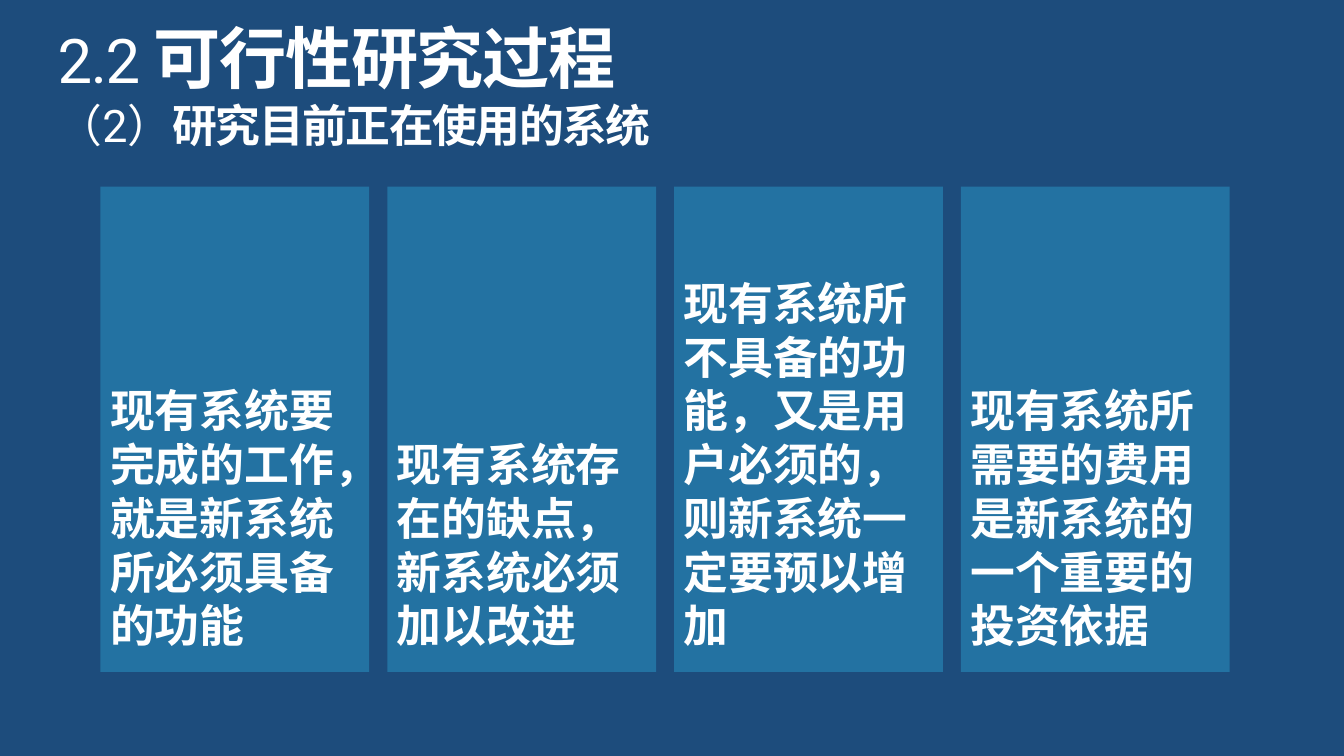
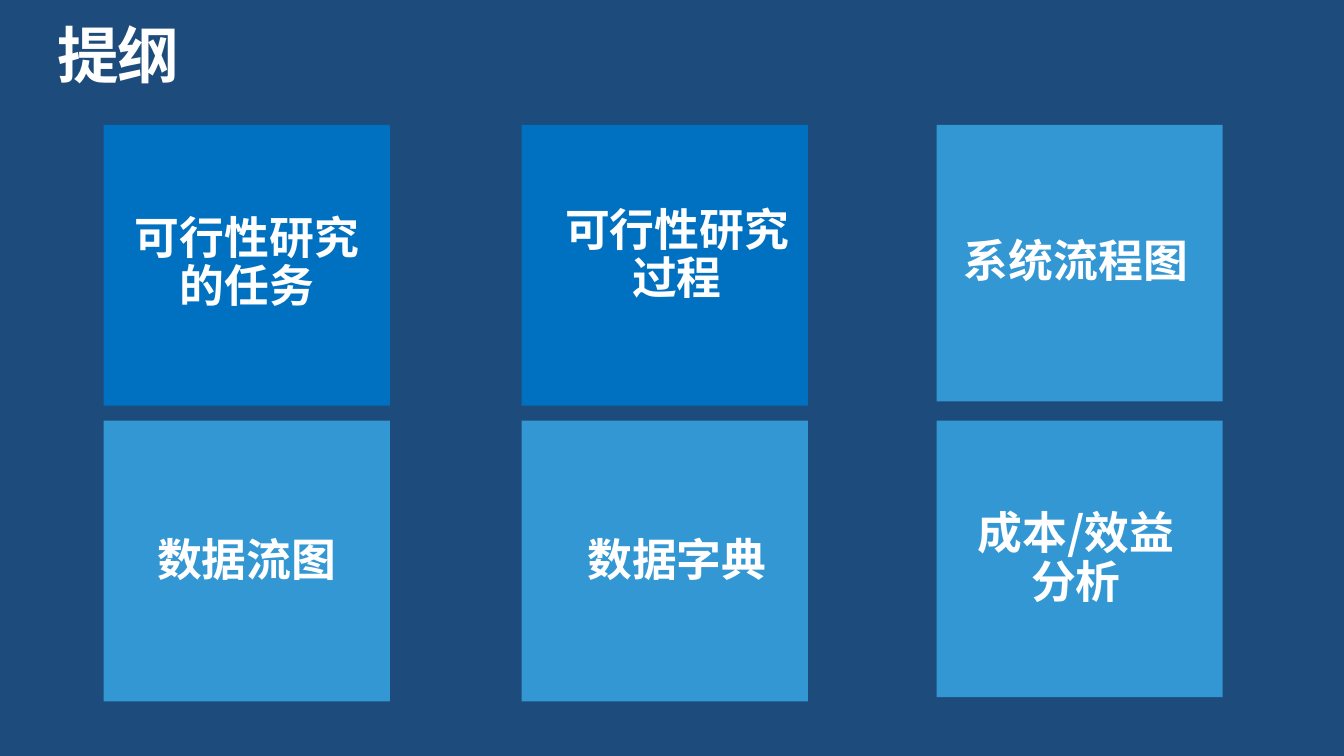
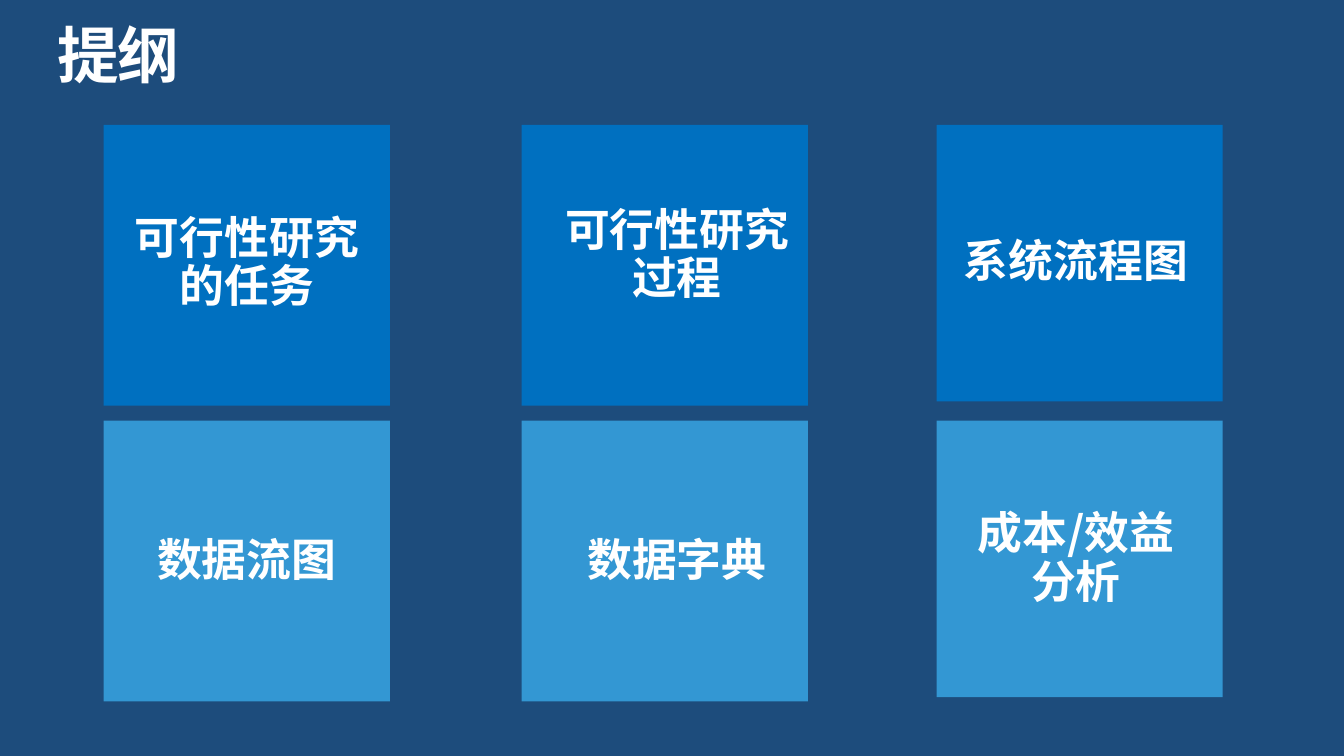
from lxml.etree import SubElement
from pptx import Presentation
from pptx.dml.color import RGBColor
from pptx.enum.shapes import MSO_SHAPE
from pptx.enum.text import MSO_ANCHOR as Anchor, MSO_AUTO_SIZE as AutoSize, PP_ALIGN as Align
from pptx.oxml.ns import qn
from pptx.util import Cm, Pt

NAVY = RGBColor(0x1D, 0x4C, 0x7C)
CARD_BLUE = RGBColor(0x23, 0x72, 0xA2)
DONE_BLUE = RGBColor(0x00, 0x70, 0xC0)
PENDING_BLUE = RGBColor(0x33, 0x97, 0xD3)
WHITE = RGBColor(0xFF, 0xFF, 0xFF)
HAN_FONT = "Noto Sans CJK SC"
NUMBER_FONT = "Roboto"

MARGIN = Cm(1.09)
HEADING_WIDTH = Cm(23.24)


def write(shape, *pieces, align=Align.LEFT, anchor=Anchor.TOP, insets=(0, 0, 0, 0),
          line_spacing=0.9, tracking=0, grow=True):
    """Fill a shape with one paragraph; each piece is (text, size, font)."""
    frame = shape.text_frame
    frame.word_wrap = True
    frame.auto_size = AutoSize.SHAPE_TO_FIT_TEXT if grow else AutoSize.NONE
    frame.vertical_anchor = anchor
    frame.margin_left, frame.margin_top, frame.margin_right, frame.margin_bottom = map(Cm, insets)
    paragraph = frame.paragraphs[0]
    paragraph.alignment = align
    paragraph.line_spacing = line_spacing
    for text, size, font_name in pieces:
        run = paragraph.add_run()
        run.text = text
        run.font.size = Pt(size)
        run.font.bold = font_name == HAN_FONT
        run.font.color.rgb = WHITE
        run.font.name = font_name
        properties = run.font._element
        SubElement(properties, qn("a:ea")).set("typeface", HAN_FONT)
        if tracking:
            properties.set("spc", str(int(tracking * 100)))


def add_rectangle(shapes, left, top, width, height, color):
    rectangle = shapes.add_shape(MSO_SHAPE.RECTANGLE, left, top, width, height)
    rectangle.shadow.inherit = False
    rectangle.fill.solid()
    rectangle.fill.fore_color.rgb = color
    rectangle.line.fill.background()
    return rectangle


presentation = Presentation()
presentation.slide_width = Cm(25.4)
presentation.slide_height = Cm(14.29)
background = presentation.slide_master.background.fill
background.solid()
background.fore_color.rgb = NAVY

outline_title = [("提纲", 33, HAN_FONT)]
process_title = [("2.2 ", 33, NUMBER_FONT), ("可行性研究过程", 36, HAN_FONT)]
slides = []
for title_pieces, title_height in [(process_title, 1.4), (outline_title, 1.27), (outline_title, 1.27)]:
    slide = presentation.slides.add_slide(presentation.slide_layouts[5])
    title = slide.shapes.title
    title.left, title.top = MARGIN, Cm(0.48)
    title.width, title.height = HEADING_WIDTH, Cm(title_height)
    write(title, *title_pieces, tracking=-0.8)
    slides.append(slide)

# Study of the current system: subtitle and four cards
process_slide, *outline_slides = slides
subtitle = process_slide.shapes.add_textbox(MARGIN, Cm(1.96), HEADING_WIDTH, Cm(0.91))
write(subtitle, ("（2）", 24, NUMBER_FONT), ("研究目前正在使用的系统", 24, HAN_FONT), tracking=-0.8)

findings = [
    "现有系统要完成的工作，就是新系统所必须具备的功能",
    "现有系统存在的缺点，新系统必须加以改进",
    "现有系统所不具备的功能，又是用户必须的，则新系统一定要预以增加",
    "现有系统所需要的费用是新系统的一个重要的投资依据",
]
for index, finding in enumerate(findings):
    card = add_rectangle(process_slide.shapes, Cm(1.9 + 5.42 * index), Cm(3.53),
                         Cm(5.08), Cm(9.17), CARD_BLUE)
    write(card, (finding, 24, HAN_FONT), anchor=Anchor.BOTTOM,
          insets=(0.18, 3.73, 0.18, 0.38), line_spacing=1.0, grow=False)

# Outline: three columns by two rows, finished topics in the stronger blue
columns = [(1.96, 2.39, 5.31), (9.86, 10.52, 5.31), (17.7, 18.06, 5.23)]  # tile left, label left, height
row_tops = [2.36, 7.95]
topics = [  # text, label top, label height
    ("可行性研究的任务", 4.06, 1.85), ("可行性研究过程", 3.91, 1.85), ("系统流程图", 4.52, 0.91),
    ("数据流图", 10.16, 0.91), ("数据字典", 10.16, 0.91), ("成本/效益分析", 9.65, 1.85),
]
for slide, done_count in zip(outline_slides, [2, 3]):
    for index, (topic, label_top, label_height) in enumerate(topics):
        row, column = divmod(index, len(columns))
        tile_left, label_left, tile_height = columns[column]
        color = DONE_BLUE if index < done_count else PENDING_BLUE
        group = slide.shapes.add_group_shape()
        add_rectangle(group.shapes, Cm(tile_left), Cm(row_tops[row]), Cm(5.41), Cm(tile_height), color)
        label = group.shapes.add_textbox(Cm(label_left), Cm(label_top), Cm(4.55), Cm(label_height))
        write(label, (topic, 24, HAN_FONT), align=Align.CENTER, anchor=Anchor.MIDDLE)

presentation.save("out.pptx")
